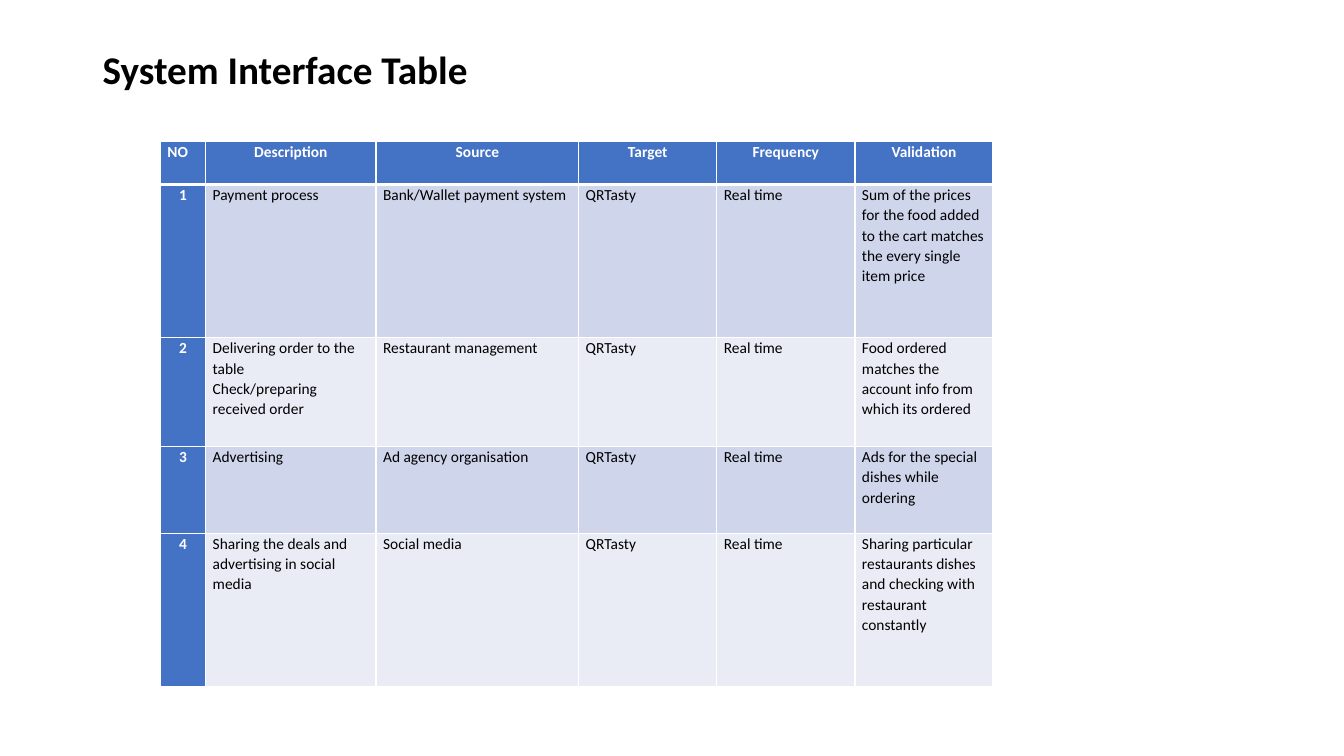
from lxml import etree
from pptx import Presentation, util as u
from pptx.dml.color import RGBColor
from pptx.enum import text
from pptx.oxml import ns

TITLE = "System Interface Table"
HEADERS = ["NO", "Description", "Source", "Target", "Frequency", "Validation"]
TARGET, FREQUENCY = "QRTasty", "Real time"
INTERFACES = [  # description paragraphs, source, validation
    (["Payment process"], "Bank/Wallet payment system",
     "Sum of the prices for the food added to the cart matches the every single item price"),
    (["Delivering order to the table", "Check/preparing received order"],
     "Restaurant management",
     "Food ordered matches the account info from which its ordered"),
    (["Advertising"], "Ad agency organisation",
     "Ads for the special dishes while ordering"),
    (["Sharing the deals and advertising in social media"], "Social media",
     "Sharing particular restaurants dishes and checking with restaurant constantly"),
]
COLUMN_WIDTHS = [0.45, 1.69, 2.01, 1.37, 1.37, 1.37]
ROW_HEIGHTS = [0.43, 1.52, 1.08, 0.86, 1.52]

FONT = "Calibri"
WHITE = RGBColor(0xFF, 0xFF, 0xFF)
BLACK = RGBColor(0, 0, 0)
BLUE = RGBColor(0x44, 0x72, 0xC4)
BANDS = [RGBColor(0xE9, 0xEB, 0xF5), RGBColor(0xCF, 0xD5, 0xEA)]


def write_paragraph(paragraph, content, size, color, bold, spacing):
    """Fill a paragraph with one styled run."""
    paragraph.line_spacing = spacing
    run = paragraph.add_run()
    run.text = content
    run.font.name = FONT
    run.font.size = u.Pt(size)
    run.font.bold = bold
    run.font.color.rgb = color


def add_borders(cell, bottom_width):
    """Give a cell white borders, 1 pt except at the bottom."""
    properties = cell._tc.get_or_add_tcPr()
    for side, width in zip("LRTB", (1, 1, 1, bottom_width)):
        line = etree.SubElement(properties, ns.qn("a:ln" + side), w=str(u.Pt(width)))
        fill = etree.SubElement(line, ns.qn("a:solidFill"))
        etree.SubElement(fill, ns.qn("a:srgbClr"), val=str(WHITE))


def fill_cell(cell, contents, row, column):
    """Style a cell by its row and column and write its paragraphs."""
    is_header = row == 0 or column == 0
    add_borders(cell, 3 if row == 0 else 1)
    cell.fill.solid()
    cell.fill.fore_color.rgb = BLUE if is_header else BANDS[row % 2]
    cell.margin_left = cell.margin_right = u.Inches(0.07)
    cell.margin_top = cell.margin_bottom = 0
    frame = cell.text_frame
    for index, content in enumerate(contents):
        paragraph = frame.add_paragraph() if index else frame.paragraphs[0]
        if is_header and (row, column) != (0, 0):
            paragraph.alignment = text.PP_ALIGN.CENTER
        write_paragraph(paragraph, content, 11, WHITE if is_header else BLACK,
                        is_header, 1.07)


def add_title(slide):
    """Add the slide title."""
    title = slide.shapes.add_textbox(
        u.Inches(0.92), u.Inches(0.4), u.Inches(11.23), u.Inches(0.62))
    frame = title.text_frame
    frame.word_wrap = True
    frame.vertical_anchor = text.MSO_ANCHOR.MIDDLE
    write_paragraph(frame.paragraphs[0], TITLE, 28, BLACK, True, 0.9)


def add_interface_table(slide):
    """Add the table of system interfaces."""
    rows = [[[header] for header in HEADERS]]
    for number, (description, source, validation) in enumerate(INTERFACES, 1):
        rows.append([[str(number)], description, [source], [TARGET],
                     [FREQUENCY], [validation]])
    table = slide.shapes.add_table(
        len(rows), len(HEADERS), u.Inches(1.59), u.Inches(1.4),
        u.Inches(sum(COLUMN_WIDTHS)), u.Inches(sum(ROW_HEIGHTS))).table
    table.first_col = True
    for column, width in zip(table.columns, COLUMN_WIDTHS):
        column.width = u.Inches(width)
    for table_row, height in zip(table.rows, ROW_HEIGHTS):
        table_row.height = u.Inches(height)
    for row, cells in enumerate(rows):
        for column, contents in enumerate(cells):
            fill_cell(table.cell(row, column), contents, row, column)


presentation = Presentation()
presentation.slide_width = u.Inches(13.33)
presentation.slide_height = u.Inches(7.5)
slide = presentation.slides.add_slide(presentation.slide_layouts[6])
add_interface_table(slide)
add_title(slide)
presentation.save("out.pptx")
